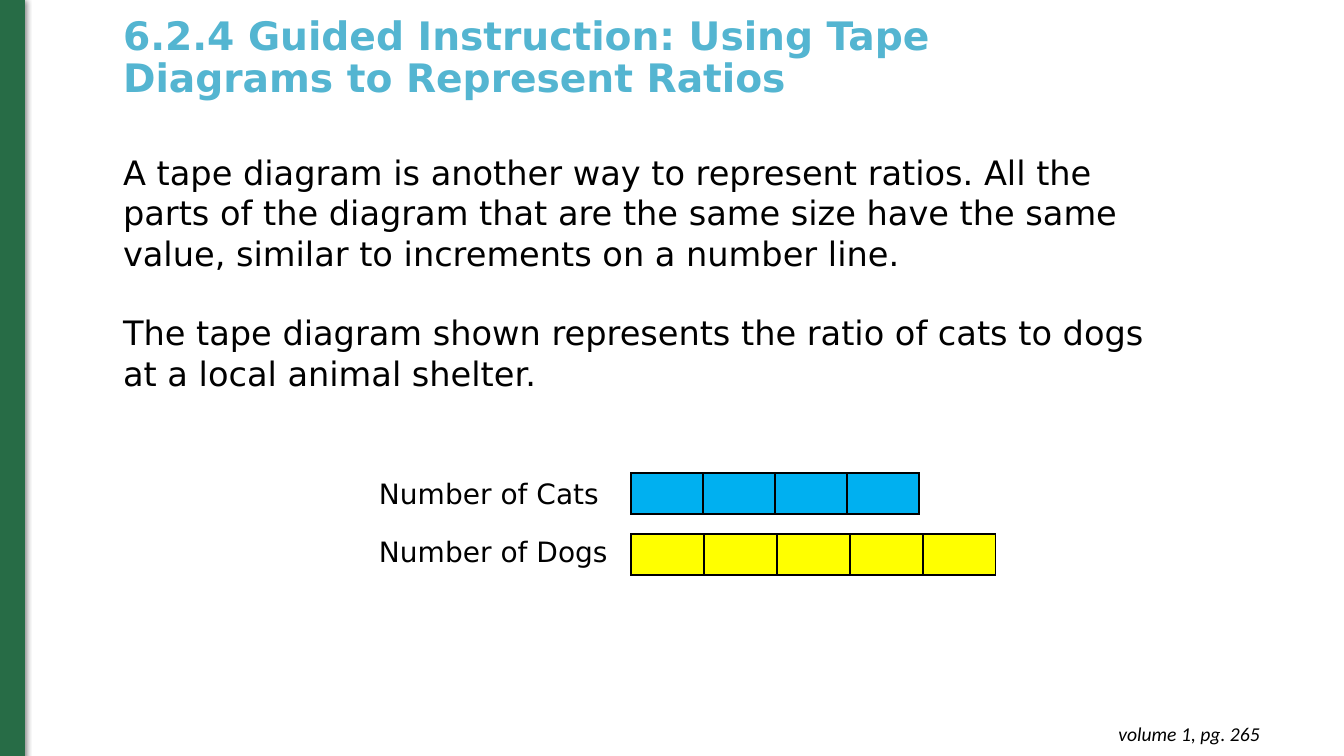
from lxml import etree
from pptx import Presentation
from pptx.dml.color import RGBColor
from pptx.enum.shapes import MSO_SHAPE
from pptx.enum.text import MSO_ANCHOR, MSO_AUTO_SIZE, PP_ALIGN
from pptx.oxml import parse_xml
from pptx.oxml.ns import nsdecls, qn
from pptx.util import Emu, Pt

TITLE = "6.2.4 Guided Instruction: Using Tape Diagrams to Represent Ratios"
BODY = [
    "A tape diagram is another way to represent ratios. All the parts of the diagram "
    "that are the same size have the same value, similar to increments on a number line.",
    "The tape diagram shown represents the ratio of cats to dogs at a local animal shelter.",
]
PAGE_NOTE = "volume 1, pg. 265"
LABELS = ["Number of Cats", "", "Number of Dogs"]
LABEL_COLUMNS = [258, 53, 72, 72, 72, 72]
LABEL_ROWS = [41, 17, 41]
TAPES = [
    {"top": 473, "parts": 4, "part_width": 72, "fill": "00B0F0"},
    {"top": 534, "parts": 5, "part_width": 73, "fill": "FFFF00"},
]
TAPE_LEFT, TAPE_HEIGHT = 631, 41
FONT = "DejaVu Sans"
PLAIN_TABLE = "{2D5ABB26-0587-4C30-8999-92F81FD0307C}"


def px(length):
    return Emu(round(length * 914400 / 100.8))


def color(value):
    return RGBColor.from_string(value)


def place(shape, left, top, width, height):
    shape.left, shape.top, shape.width, shape.height = map(px, (left, top, width, height))


def add_run(paragraph, text, size, font=FONT, fill="000000", bold=False, italic=False):
    run = paragraph.add_run()
    run.text = text
    run.font.name, run.font.size = font, Pt(size)
    run.font.bold, run.font.italic = bold, italic
    run.font.color.rgb = color(fill)


def add_plain_table(slide, left, top, columns, rows):
    frame = slide.shapes.add_table(
        len(rows), len(columns), px(left), px(top), px(sum(columns)), px(sum(rows)))
    table = frame.table
    table.first_row = table.horz_banding = False
    table._tbl.tblPr.find(qn("a:tableStyleId")).text = PLAIN_TABLE
    for column, width in zip(table.columns, columns):
        column.width = px(width)
    for row, height in zip(table.rows, rows):
        row.height = px(height)
    for cell in table.iter_cells():
        cell.margin_left = cell.margin_right = px(7)
        cell.margin_top = cell.margin_bottom = 0
        cell.fill.background()
    return table


def shrink_empty(cell):
    ending = etree.SubElement(cell.text_frame.paragraphs[0]._p, qn("a:endParaRPr"))
    ending.set("sz", "800")


def add_border(cell):
    properties = cell._tc.get_or_add_tcPr()
    for position, side in enumerate(("lnL", "lnR", "lnT", "lnB")):
        properties.insert(position, parse_xml(
            f'<a:{side} {nsdecls("a")} w="12700"><a:solidFill>'
            f'<a:srgbClr val="000000"/></a:solidFill></a:{side}>'))


def add_side_bar(slide):
    bar = slide.shapes.add_shape(MSO_SHAPE.RECTANGLE, 0, px(-1), px(25), px(757))
    bar.shadow.inherit = False
    bar.fill.solid()
    bar.fill.fore_color.rgb = color("276C46")
    bar.line.color.rgb = color("276C46")
    bar.line.width = Pt(0.75)
    bar._element.spPr.find(qn("a:effectLst")).append(parse_xml(
        f'<a:outerShdw {nsdecls("a")} blurRad="57150" dist="19050" dir="5400000">'
        '<a:srgbClr val="000000"><a:alpha val="50000"/></a:srgbClr></a:outerShdw>'))


def fill_title(title):
    place(title, 113, -14, 884, 146)
    frame = title.text_frame
    frame.auto_size = MSO_AUTO_SIZE.NONE
    frame.vertical_anchor = MSO_ANCHOR.MIDDLE
    paragraph = frame.paragraphs[0]
    paragraph.alignment = PP_ALIGN.LEFT
    paragraph.line_spacing = 0.9
    add_run(paragraph, TITLE, 28, fill="54B5D1", bold=True)


def fill_body(body):
    place(body, 113, 147, 1049, 254)
    frame = body.text_frame
    frame.auto_size = MSO_AUTO_SIZE.NONE
    for index, text in enumerate(BODY):
        paragraph = frame.add_paragraph() if index else frame.paragraphs[0]
        properties = paragraph._p.get_or_add_pPr()
        properties.set("marL", "0")
        properties.set("indent", "0")
        etree.SubElement(properties, qn("a:buNone"))
        paragraph.space_before = Pt(28 if index else 0)
        add_run(paragraph, text, 24)


def add_page_note(slide):
    frame = slide.shapes.add_textbox(px(980), px(712), px(290), px(44)).text_frame
    frame.word_wrap = True
    frame.margin_left = frame.margin_right = px(10)
    frame.margin_top = frame.margin_bottom = px(10)
    paragraph = frame.paragraphs[0]
    paragraph.alignment = PP_ALIGN.RIGHT
    add_run(paragraph, PAGE_NOTE, 14, font="Calibri", italic=True)


def add_labels(slide):
    table = add_plain_table(slide, 372, 478, LABEL_COLUMNS, LABEL_ROWS)
    for row, label in enumerate(LABELS):
        for column in range(len(LABEL_COLUMNS)):
            cell = table.cell(row, column)
            if label and column == 0:
                add_run(cell.text_frame.paragraphs[0], label, 20)
            else:
                shrink_empty(cell)


def add_tape(slide, tape):
    columns = [tape["part_width"]] * tape["parts"]
    table = add_plain_table(slide, TAPE_LEFT, tape["top"], columns, [TAPE_HEIGHT])
    for cell in table.iter_cells():
        cell.fill.solid()
        cell.fill.fore_color.rgb = color(tape["fill"])
        add_border(cell)
        shrink_empty(cell)


def main():
    presentation = Presentation()
    presentation.slide_width, presentation.slide_height = px(1344), px(756)
    slide = presentation.slides.add_slide(presentation.slide_layouts[1])
    add_side_bar(slide)
    fill_title(slide.shapes.title)
    fill_body(slide.placeholders[1])
    add_page_note(slide)
    add_labels(slide)
    for tape in TAPES:
        add_tape(slide, tape)
    presentation.save("out.pptx")


if __name__ == "__main__":
    main()
